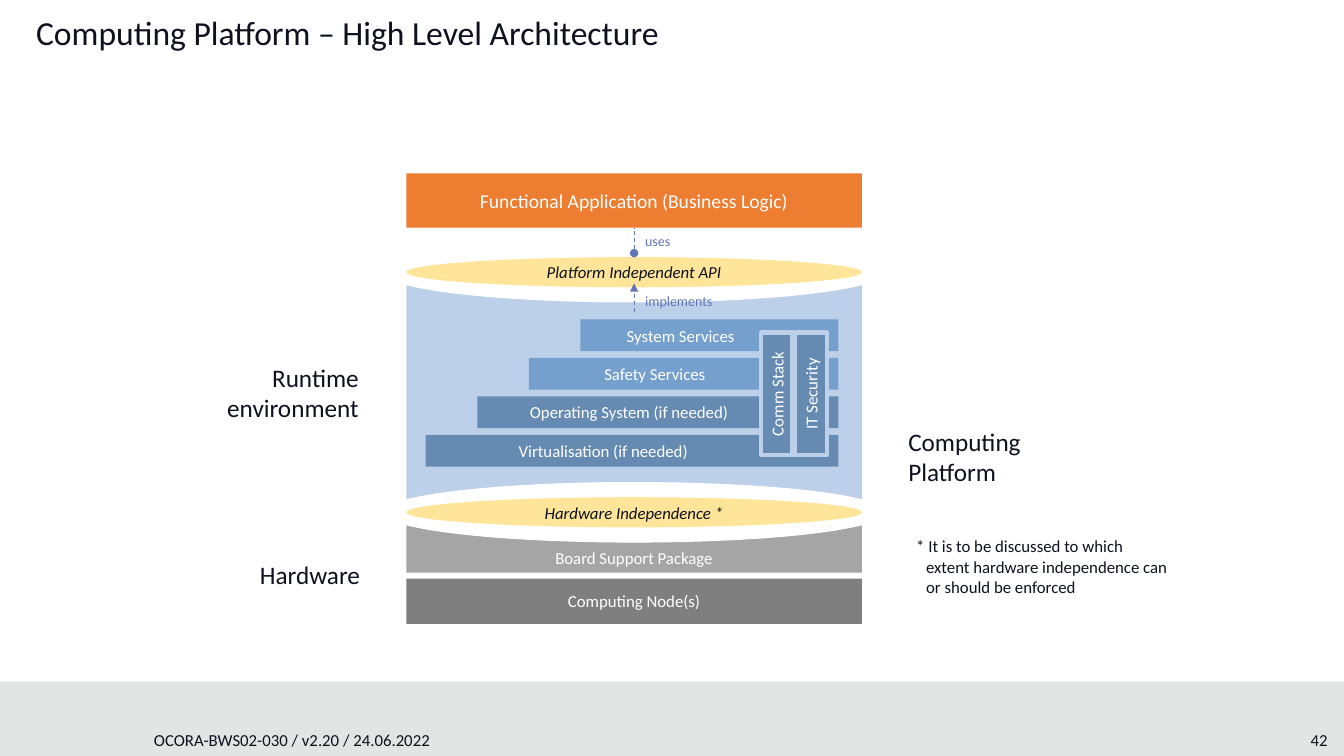
from lxml.etree import SubElement
from pptx import Presentation
from pptx.dml.color import RGBColor
from pptx.enum.dml import MSO_LINE
from pptx.enum.shapes import MSO_CONNECTOR, MSO_SHAPE
from pptx.enum.text import MSO_ANCHOR, MSO_AUTO_SIZE, PP_ALIGN
from pptx.oxml.ns import qn
from pptx.util import Cm, Pt

WHITE = RGBColor(0xFF, 0xFF, 0xFF)
INK = RGBColor(0x0E, 0x12, 0x1E)
FOOTER_GREY = RGBColor(0xE3, 0xE4, 0xE4)
RUNTIME_BLUE = RGBColor(0xBD, 0xD0, 0xE9)
SERVICE_BLUE = RGBColor(0x75, 0x9F, 0xCC)
SYSTEM_BLUE = RGBColor(0x66, 0x8B, 0xB3)
ORANGE = RGBColor(0xED, 0x7D, 0x31)
YELLOW = RGBColor(0xFE, 0xE5, 0x99)
NODE_GREY = RGBColor(0x7F, 0x7F, 0x7F)
BOARD_GREY = RGBColor(0xA5, 0xA5, 0xA5)
RELATION_BLUE = RGBColor(0x60, 0x75, 0xB5)

STACK_LEFT, STACK_WIDTH = 10.24, 11.48
STACK_CENTRE = STACK_LEFT + STACK_WIDTH / 2
DEFAULT_INSETS = (0.25, 0.13, 0.25, 0.13)
NO_INSETS = (0, 0, 0, 0)


class ArchitectureSlide:
    font_name = "Calibri"

    def __init__(self, slide):
        self.slide = slide

    def add_text(self, frame, text, size, color, align, anchor, insets, italic=False):
        frame.vertical_anchor = anchor
        (frame.margin_left, frame.margin_top,
         frame.margin_right, frame.margin_bottom) = map(Cm, insets)
        paragraph = frame.paragraphs[0]
        paragraph.alignment = align
        run = paragraph.add_run()
        run.text = text
        run.font.name = self.font_name
        run.font.size = Pt(size)
        run.font.italic = italic
        run.font.color.rgb = color

    def block(self, box, fill, text="", size=12, color=WHITE, italic=False,
              kind=MSO_SHAPE.RECTANGLE, anchor=MSO_ANCHOR.MIDDLE,
              insets=DEFAULT_INSETS, border=None, border_width=0.75):
        block = self.slide.shapes.add_shape(kind, *map(Cm, box))
        block.shadow.inherit = False
        block.fill.solid()
        block.fill.fore_color.rgb = fill
        if border is None:
            block.line.fill.background()
        else:
            block.line.color.rgb = border
            block.line.width = Pt(border_width)
        if text:
            self.add_text(block.text_frame, text, size, color, PP_ALIGN.CENTER,
                          anchor, insets, italic)
        return block

    def label(self, box, text, size, color=INK, align=PP_ALIGN.LEFT,
              anchor=MSO_ANCHOR.TOP, insets=NO_INSETS, wrap=True, grow=True, hanging=0):
        frame = self.slide.shapes.add_textbox(*map(Cm, box)).text_frame
        frame.word_wrap = wrap
        frame.auto_size = MSO_AUTO_SIZE.SHAPE_TO_FIT_TEXT if grow else MSO_AUTO_SIZE.NONE
        if hanging:
            properties = frame.paragraphs[0]._p.get_or_add_pPr()
            properties.set("marL", str(Cm(hanging)))
            properties.set("indent", str(-Cm(hanging)))
        self.add_text(frame, text, size, color, align, anchor, insets)

    def lens(self, middle, text):
        """Yellow interface ellipse on a wider white one that cuts into the stack."""
        for extra, height, fill, border, caption in (
                (0.58, 1.5, WHITE, WHITE, ""), (0, 0.76, YELLOW, None, text)):
            box = (STACK_LEFT - extra, middle - height / 2, STACK_WIDTH + 2 * extra, height)
            self.block(box, fill, caption, color=INK, italic=True,
                       kind=MSO_SHAPE.OVAL, border=border)

    def relation(self, start, end, marker, marker_type):
        """Dashed vertical line; marker is headEnd (start) or tailEnd (end)."""
        line = self.slide.shapes.add_connector(
            MSO_CONNECTOR.STRAIGHT, Cm(STACK_CENTRE), Cm(start), Cm(STACK_CENTRE), Cm(end))
        line.line.color.rgb = RELATION_BLUE
        line.line.width = Pt(0.75)
        line.line.dash_style = MSO_LINE.DASH
        properties = line._element.spPr
        SubElement(properties.find(qn("a:ln")), qn(f"a:{marker}"), type=marker_type)
        SubElement(properties, qn("a:effectLst"))
        return line


def main():
    presentation = Presentation()
    presentation.slide_width, presentation.slide_height = Cm(33.87), Cm(19.05)
    page = ArchitectureSlide(presentation.slides.add_slide(presentation.slide_layouts[6]))

    page.block((0, 17.17, 33.87, 1.88), FOOTER_GREY)
    page.label((28.91, 18.24, 4.55, 0.81), "42", 12, align=PP_ALIGN.RIGHT,
               anchor=MSO_ANCHOR.MIDDLE, insets=(0.25, 0.13, 0, 0.13), grow=False)
    page.label((3.63, 18.24, 14.45, 0.81), "OCORA-BWS02-030 / v2.20 / 24.06.2022", 12,
               anchor=MSO_ANCHOR.MIDDLE, insets=DEFAULT_INSETS, grow=False)
    page.label((0.91, 0.18, 22.53, 0.91), "Computing Platform – High Level Architecture", 24,
               insets=(0, 0.13, 0.25, 0.13), grow=False)

    page.block((STACK_LEFT, 7.14, STACK_WIDTH, 5.51), RUNTIME_BLUE)
    application = page.block((STACK_LEFT, 4.37, STACK_WIDTH, 1.37), ORANGE,
                             "Functional Application (Business Logic)", size=14)

    layers = (("System Services", SERVICE_BLUE), ("Safety Services", SERVICE_BLUE),
              ("Operating System (if needed)", SYSTEM_BLUE),
              ("Virtualisation (if needed)", SYSTEM_BLUE))
    layers_right = 21.13
    for level, (name, fill) in enumerate(layers):
        width = 6.5 + 1.3 * level
        page.block((layers_right - width, 8.05 + 0.97 * level, width, 0.8), fill, name,
                   insets=(0.25, 0.13, 1.7, 0.13))

    page.block((STACK_LEFT, 14.58, STACK_WIDTH, 1.14), NODE_GREY, "Computing Node(s)")
    page.block((STACK_LEFT, 13.01, STACK_WIDTH, 1.42), BOARD_GREY, "Board Support Package",
               anchor=MSO_ANCHOR.BOTTOM)
    page.lens(12.91, "Hardware Independence *")
    page.lens(6.86, "Platform Independent API")

    for column, name in enumerate(("Comm Stack", "IT Security")):
        pillar = page.block((18.03 + 0.86 * column, 9.53, 3.1, 0.79), SYSTEM_BLUE, name,
                            border=RUNTIME_BLUE, border_width=3)
        pillar.rotation = 270

    page.label((6.55, 14.1, 2.57, 0.76), "Hardware", 18, wrap=False)
    page.label((5.46, 9.12, 3.58, 1.55), "Runtime environment", 18, align=PP_ALIGN.RIGHT)
    page.label((22.89, 10.74, 3.58, 1.55), "Computing Platform", 18)

    page.relation(7.87, 7.14, "tailEnd", "triangle")
    page.label((16.26, 7.37, 1.73, 0.43), "implements", 10, RELATION_BLUE, wrap=False)
    uses = page.relation(6.38, 5.74, "headEnd", "oval")
    uses.end_connect(application, 2)
    page.label((16.26, 5.87, 0.64, 0.43), "uses", 10, RELATION_BLUE, wrap=False)

    page.label((23.09, 13.51, 6.4, 1.55),
               "* It is to be discussed to which extent hardware independence can "
               "or should be enforced", 12, hanging=0.25)

    presentation.save("out.pptx")


if __name__ == "__main__":
    main()
